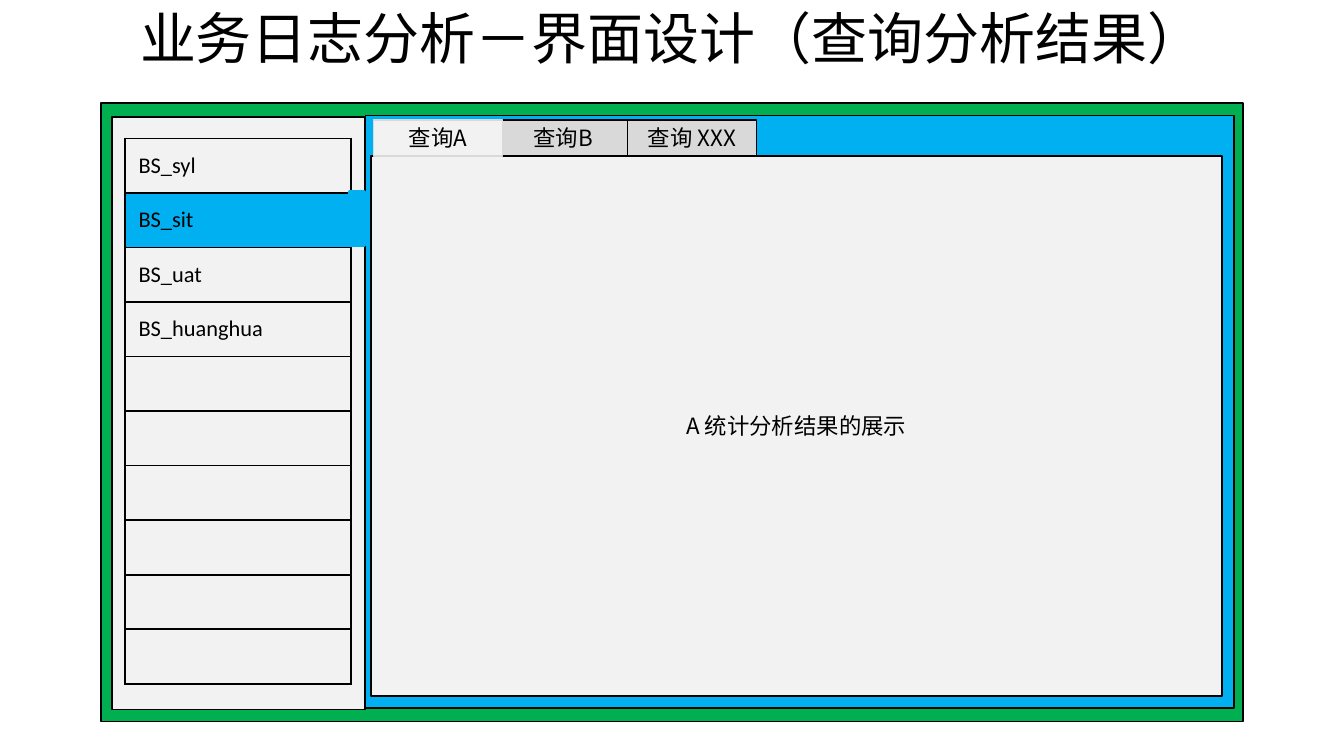
from lxml import etree
from pptx import Presentation
from pptx.dml.color import RGBColor
from pptx.enum.shapes import MSO_SHAPE
from pptx.enum.text import MSO_ANCHOR, PP_ALIGN
from pptx.oxml.ns import qn
from pptx.util import Pt

RECTANGLE = MSO_SHAPE.RECTANGLE
ROUNDED = MSO_SHAPE.ROUNDED_RECTANGLE
MIDDLE = MSO_ANCHOR.MIDDLE
LEFT, CENTER = PP_ALIGN.LEFT, PP_ALIGN.CENTER
COLORS = {
    "black": "000000",
    "green": "00B050",
    "blue": "00B0F0",
    "light": "F2F2F2",
    "gray": "D9D9D9",
}
CHINESE_FONT = "Noto Sans CJK SC"
LATIN_FONT = "Calibri"
SYSTEMS = ["BS_syl", "BS_sit", "BS_uat", "BS_huanghua"]
SELECTED_ROW = 1
ROW_COUNT = 10
ROW_HEIGHT = 29.23
MENU_INSET = (7.2, 11.5)
MENU_WIDTH = 121


def color(name):
    """Return the named colour."""
    return RGBColor.from_string(COLORS[name])


def write_text(frame, text, size=12, font=CHINESE_FONT, align=CENTER):
    """Fill a text frame with one formatted line."""
    paragraph = frame.paragraphs[0]
    paragraph.alignment = align
    run = paragraph.add_run()
    run.text = text
    run.font.size = Pt(size)
    run.font.name = font
    run.font.color.rgb = color("black")
    properties = run.font._element
    latin = properties.find(qn("a:latin"))
    east_asian = etree.Element(qn("a:ea"), typeface=font)
    latin.addnext(east_asian)


def add_box(shapes, box, fill, line="black", width=1, kind=RECTANGLE, text=None):
    """Draw a filled, outlined box with optional centred text."""
    shape = shapes.add_shape(kind, *map(Pt, box))
    if kind == ROUNDED:
        shape.adjustments[0] = 0
    shape.shadow.inherit = False
    shape.fill.solid()
    shape.fill.fore_color.rgb = color(fill)
    shape.line.color.rgb = color(line)
    shape.line.width = Pt(width)
    if text:
        frame = shape.text_frame
        frame.word_wrap = True
        frame.vertical_anchor = MIDDLE
        frame.margin_left = frame.margin_right = 0
        frame.margin_top = frame.margin_bottom = 0
        write_text(frame, text)
    return shape


def add_borders(cell):
    """Give a table cell a black line on every side."""
    properties = cell._tc.get_or_add_tcPr()
    for index, side in enumerate(("lnL", "lnR", "lnT", "lnB")):
        line = etree.Element(qn(f"a:{side}"), w=str(Pt(1)))
        fill = etree.SubElement(line, qn("a:solidFill"))
        etree.SubElement(fill, qn("a:srgbClr"), val=COLORS["black"])
        properties.insert(index, line)


def add_title(slide, box, text):
    """Place and format the slide title."""
    title = slide.shapes.title
    title.left, title.top, title.width, title.height = map(Pt, box)
    frame = title.text_frame
    frame.word_wrap = True
    frame.vertical_anchor = MIDDLE
    frame.margin_top = frame.margin_bottom = 0
    write_text(frame, text, size=30)


def add_menu(slide, box):
    """Draw the sidebar with its table of systems."""
    add_box(slide.shapes, box, "light")
    left, top = box[0] + MENU_INSET[0], box[1] + MENU_INSET[1]
    table_box = (left, top, MENU_WIDTH, ROW_COUNT * ROW_HEIGHT)
    table = slide.shapes.add_table(ROW_COUNT, 1, *map(Pt, table_box)).table
    table.first_row = table.horz_banding = False
    for index in range(ROW_COUNT):
        table.rows[index].height = Pt(ROW_HEIGHT)
        cell = table.cell(index, 0)
        cell.vertical_anchor = MIDDLE
        if index == SELECTED_ROW:
            cell.fill.solid()
            cell.fill.fore_color.rgb = color("blue")
        else:
            cell.fill.background()
        add_borders(cell)
        if index < len(SYSTEMS):
            write_text(cell.text_frame, SYSTEMS[index], font=LATIN_FONT, align=LEFT)


def add_results(slide, box, link_box):
    """Draw the result area, its link to the menu, its panel and its tabs."""
    left, top, width, height = box
    group = slide.shapes.add_group_shape()
    add_box(group.shapes, box, "blue")
    add_box(group.shapes, link_box, "blue", line="blue", width=2)
    tab_top, tab_width, tab_height = top + 2.2, 69.1, 19.4
    for index, text in enumerate(("查询B", "查询 XXX")):
        tab = (left + 71.3 + index * tab_width, tab_top, tab_width, tab_height)
        add_box(slide.shapes, tab, "gray", kind=ROUNDED, text=text)
    panel = (left + 2.9, tab_top + tab_height, width - 9.4, height - 28.1)
    add_box(slide.shapes, panel, "light", kind=ROUNDED, text="A 统计分析结果的展示")
    active_tab = (left + 4.3, tab_top, tab_width, tab_height)
    add_box(slide.shapes, active_tab, "light", line="gray", kind=ROUNDED, text="查询A")


def add_window(slide, box):
    """Draw the application window with its menu and result area."""
    left, top, width, height = box
    add_box(slide.shapes, box, "green")
    menu = (left + 5.8, top + 7.2, 136, height - 13.7)
    add_menu(slide, menu)
    link_left = menu[0] + MENU_INSET[0] + MENU_WIDTH - 0.8
    link_top = menu[1] + MENU_INSET[1] + SELECTED_ROW * ROW_HEIGHT
    link = (link_left, link_top - 0.3, 7.9, 28.1)
    results_left = menu[0] + menu[2]
    results = (results_left, top + 6.5, left + width - 5 - results_left, menu[3])
    add_results(slide, results, link)


def main():
    """Build and save the presentation."""
    presentation = Presentation()
    presentation.slide_width, presentation.slide_height = Pt(720), Pt(405)
    slide = presentation.slides.add_slide(presentation.slide_layouts[5])
    add_title(slide, (0, 0, 720, 39.6), "业务日志分析－界面设计（查询分析结果）")
    add_window(slide, (54, 55.4, 612, 331.2))
    presentation.save("out.pptx")


if __name__ == "__main__":
    main()
